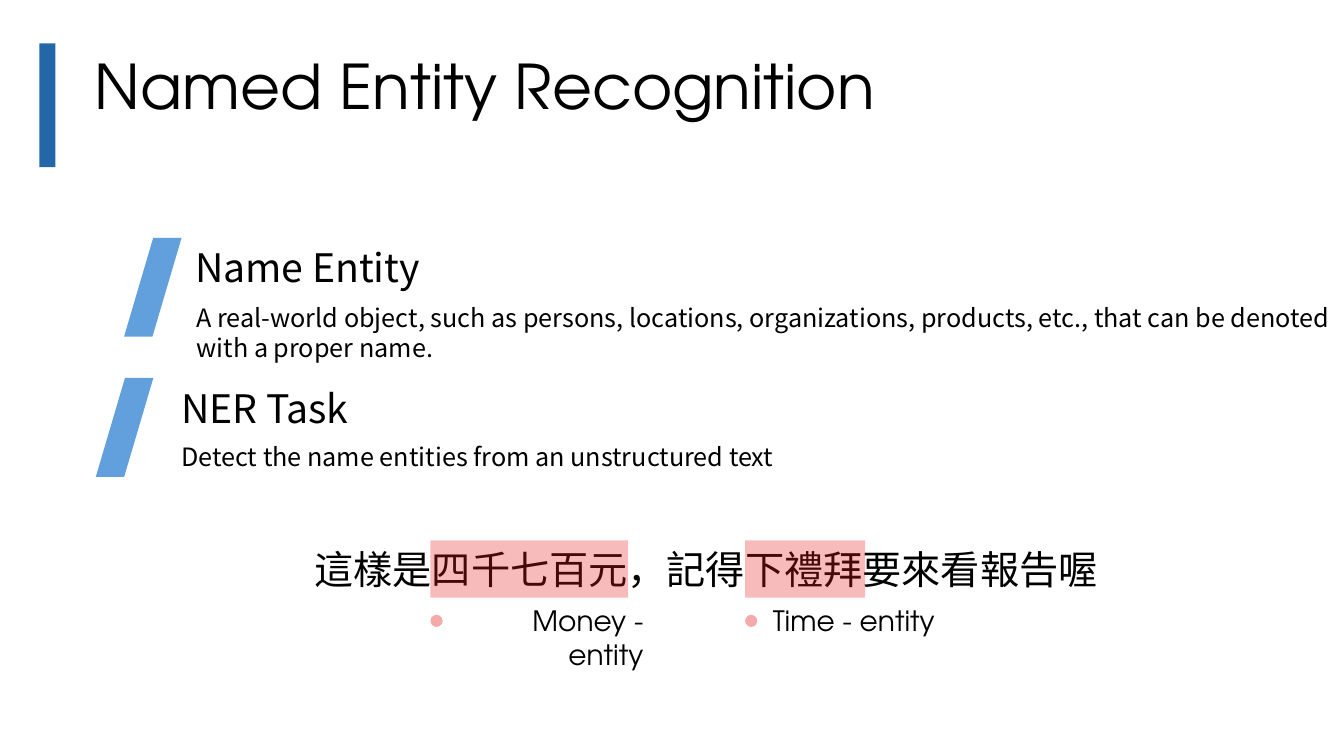
"""Build the Named Entity Recognition slide."""
from pptx import Presentation
from pptx.dml.color import RGBColor
from pptx.enum.shapes import MSO_SHAPE
from pptx.enum.text import MSO_AUTO_SIZE, PP_ALIGN
from pptx.oxml.ns import qn
from pptx.util import Inches, Pt
from lxml.etree import SubElement

COLORS = {"bar": "2467A8", "slash": "619FDD", "mark": "E72121", "dot": "F6A9A9", "text": "000000"}
DISPLAY, BODY = "TeX Gyre Adventor", "Noto Sans CJK SC"
TITLE = "Named Entity Recognition"
SENTENCE = "這樣是四千七百元，記得下禮拜要來看報告喔"

# Lengths are percentages of the slide's width and height.
SECTIONS = [
    {"heading": "Name Entity", "heading_at": (12.75, 31.47, 20.25, 7.6), "align": PP_ALIGN.CENTER,
     "slash": (9.23, 31.47), "detail_at": (13.88, 39.33, 86.12, 9.47),
     "detail": "A real-world object, such as persons, locations, organizations, products, etc., "
               "that can be denoted with a proper name."},
    {"heading": "NER Task", "heading_at": (12.75, 50.13, 23.03, 7.6), "align": PP_ALIGN.LEFT,
     "slash": (7.13, 50), "detail_at": (12.75, 57.73, 76.82, 5.33),
     "detail": "Detect the name entities from an unstructured text"},
]
ENTITIES = [("Money - entity", 32.03, 14.7, 33.01, 15.6), ("Time - entity", 55.44, 8.93, 56.34, 13.95)]
SENTENCE_TOP, SENTENCE_HEIGHT = 71.47, 7.6

deck = Presentation()
deck.slide_width, deck.slide_height = Inches(13.33), Inches(7.5)
page = deck.slides.add_slide(deck.slide_layouts[6])


def place(area):
    """Turn percentages into slide lengths."""
    sides = (deck.slide_width, deck.slide_height) * 2
    return [round(side * share / 100) for side, share in zip(sides, area)]


def add_block(kind, area, color, opacity=None):
    """Add a plain filled shape."""
    block = page.shapes.add_shape(kind, *place(area))
    block.shadow.inherit = False
    block.line.fill.background()
    block.fill.solid()
    block.fill.fore_color.rgb = RGBColor.from_string(COLORS[color])
    if opacity:
        tint = block.fill._xPr.find(qn("a:solidFill"))[0]
        SubElement(tint, qn("a:alpha")).set("val", str(opacity * 1000))
    return block


def add_text(text, area, size, font, align=PP_ALIGN.LEFT, wrap=True):
    """Add a one-paragraph text box."""
    box = page.shapes.add_textbox(*place(area))
    frame = box.text_frame
    frame.word_wrap = wrap
    frame.auto_size = MSO_AUTO_SIZE.SHAPE_TO_FIT_TEXT
    para = frame.paragraphs[0]
    para.alignment = align
    span = para.add_run()
    span.text = text
    span.font.size = Pt(size)
    span.font.color.rgb = RGBColor.from_string(COLORS["text"])
    span.font.name = font
    SubElement(span.font._element, qn("a:ea")).set("typeface", font)


add_block(MSO_SHAPE.RECTANGLE, (2.93, 5.73, 1.2, 16.4), "bar")
add_text(TITLE, (6.3, 5.73, 59.7, 11.2), 44, DISPLAY, wrap=False)

for section in SECTIONS:
    slash = add_block(MSO_SHAPE.PARALLELOGRAM, (*section["slash"], 4.28, 13.07), "slash")
    slash.adjustments[0] = 0.507
    add_text(section["heading"], section["heading_at"], 28, BODY, section["align"])
    add_text(section["detail"], section["detail_at"], 18, BODY)

add_text(SENTENCE, (22.66, SENTENCE_TOP, 60.47, SENTENCE_HEIGHT), 28, BODY, wrap=False)
for label, left, width, label_left, label_width in ENTITIES:
    add_block(MSO_SHAPE.RECTANGLE, (left, SENTENCE_TOP, width, SENTENCE_HEIGHT), "mark", 30)
    add_text(label, (label_left, 79.2, label_width, 5.87), 20, DISPLAY, PP_ALIGN.RIGHT)
    add_block(MSO_SHAPE.OVAL, (left, 81.33, 0.9, 1.6), "dot")

deck.save("out.pptx")
